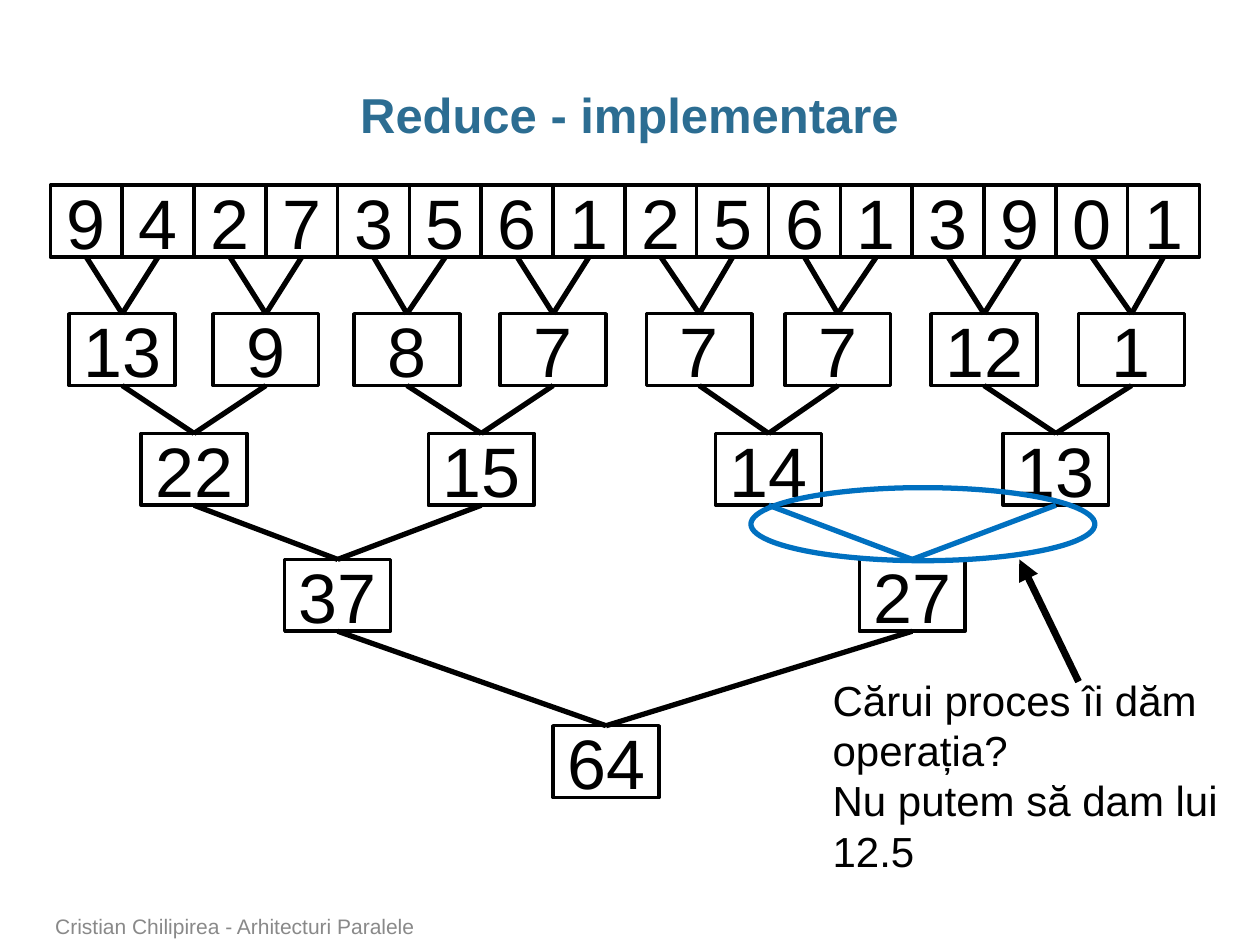
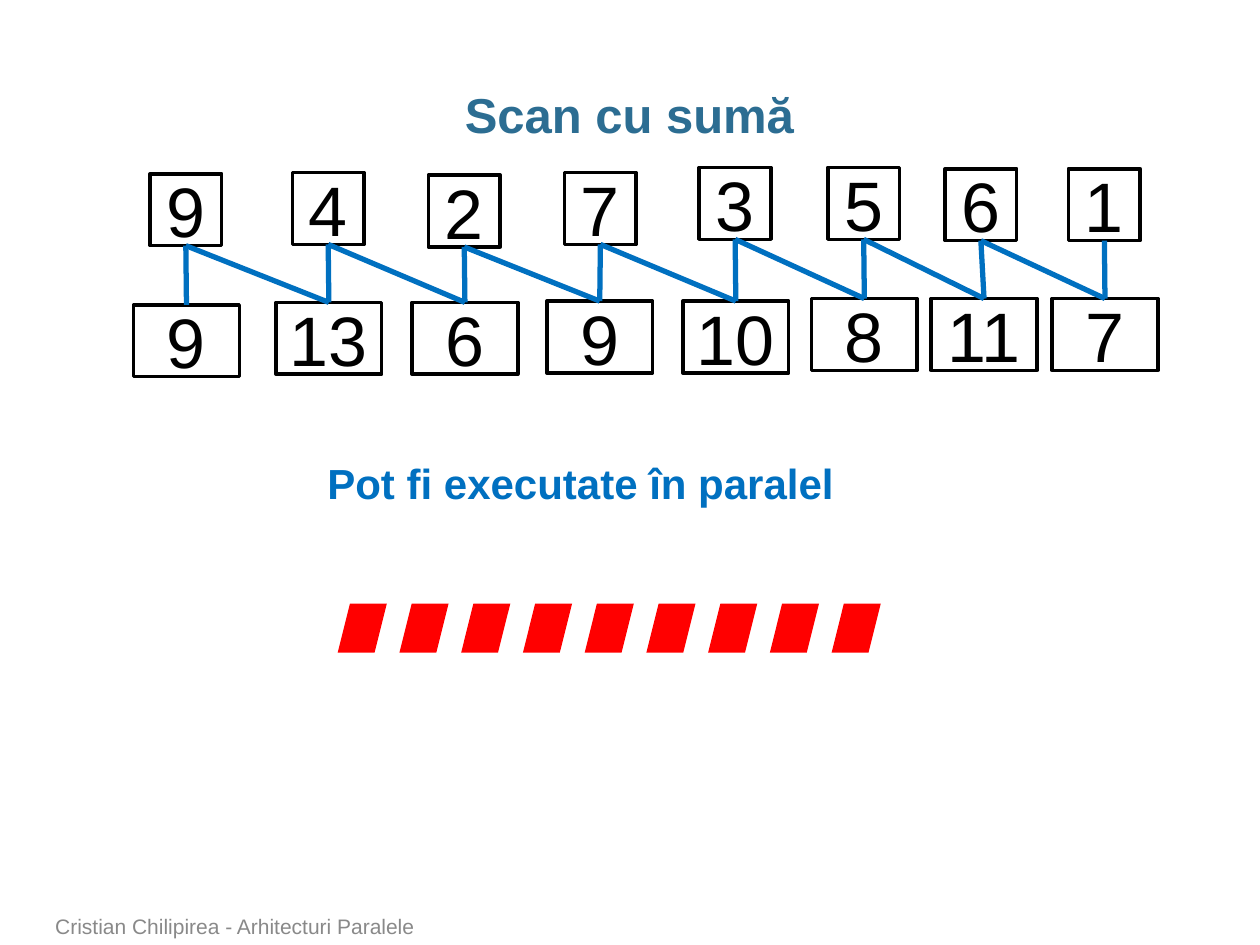
from pptx import Presentation
from pptx.dml.color import RGBColor
from pptx.enum.shapes import MSO_CONNECTOR, MSO_SHAPE
from pptx.enum.text import MSO_ANCHOR, MSO_AUTO_SIZE, PP_ALIGN
from pptx.oxml.ns import qn
from pptx.util import Inches, Pt
from lxml import etree

RECT, OVAL, SLANT = MSO_SHAPE.RECTANGLE, MSO_SHAPE.OVAL, MSO_SHAPE.PARALLELOGRAM
STRAIGHT = MSO_CONNECTOR.STRAIGHT
CENTER, LEFT = PP_ALIGN.CENTER, PP_ALIGN.LEFT
MIDDLE, BOTTOM, TOP = MSO_ANCHOR.MIDDLE, MSO_ANCHOR.BOTTOM, MSO_ANCHOR.TOP
GROW, FIXED = MSO_AUTO_SIZE.SHAPE_TO_FIT_TEXT, MSO_AUTO_SIZE.NONE
TOP_SIDE, BOTTOM_SIDE = 0, 2

# Shared look
BLACK, BLUE, RED = "000000", "0070C0", "FF0000"
TITLE_FONT = {"size": Pt(28), "bold": True, "name": "Arial"}
NUMBER_FONT = {"size": Pt(40), "name": "Arial"}
NOTE_FONT = {"size": Pt(24), "name": "Arial"}
FOOTER_FONT = {"size": Pt(12), "name": "Arial"}
TITLE_COLOR, FOOTER_COLOR = "2C6D92", "898989"
FOOTER = "Cristian Chilipirea - Arhitecturi Paralele"
CELL, WIDE = 0.57, 0.84  # cell side, and width of a sum box

# Reduce: one entry per tree level, as (top, box width, lefts, values)
REDUCE_TITLE = "Reduce - implementare"
REDUCE_LEVELS = [
    (1.47, CELL, [0.4 + 0.57 * i for i in range(16)],
     [9, 4, 2, 7, 3, 5, 6, 1, 2, 5, 6, 1, 3, 9, 0, 1]),
    (2.49, WIDE, [0.55, 1.69, 2.81, 3.97, 5.13, 6.23, 7.39, 8.56],
     [13, 9, 8, 7, 7, 7, 12, 1]),
    (3.44, WIDE, [1.12 + 2.28 * i for i in range(4)], [22, 15, 14, 13]),
    (4.44, WIDE, [2.26, 6.82], [37, 27]),
    (5.76, WIDE, [4.39], [64]),
]
HIGHLIGHTED_SUM = (3, 1)  # level and position of the sum in question
QUESTION = ["Cărui proces îi dăm operația?", "Nu putem să dam lui 12.5"]

# Scan: (value, left, top) for each row
SCAN_TITLE = "Scan cu sumă"
SCAN_INPUTS = [(9, 1.19, 1.38), (4, 2.32, 1.37), (2, 3.4, 1.39), (7, 4.48, 1.37),
               (3, 5.55, 1.33), (5, 6.57, 1.33), (6, 7.5, 1.34), (1, 8.48, 1.34)]
SCAN_SUMS = [(9, 1.06, 2.42), (13, 2.19, 2.4), (6, 3.27, 2.4), (9, 4.34, 2.39),
             (10, 5.42, 2.39), (8, 6.44, 2.37), (11, 7.39, 2.37), (7, 8.35, 2.37)]
PARALLEL_NOTE = "Pot fi executate în paralel"
MARK_COUNT = 9


def rgb(color):
    return RGBColor.from_string(color)


def write(frame, lines, font, color, align=LEFT, anchor=TOP):
    frame.vertical_anchor = anchor
    for i, line in enumerate(lines):
        paragraph = frame.add_paragraph() if i else frame.paragraphs[0]
        paragraph.text = line
        paragraph.alignment = align
        for key, value in font.items():
            setattr(paragraph.font, key, value)
        paragraph.font.color.rgb = rgb(color)


def add_text(slide, at, lines, font, color, anchor=TOP, wrap=True, fit=FIXED):
    frame = slide.shapes.add_textbox(*map(Inches, at)).text_frame
    frame.word_wrap = wrap
    frame.auto_size = fit
    write(frame, lines, font, color, anchor=anchor)


def add_figure(slide, kind, at, fill=None, line=None, width=2):
    figure = slide.shapes.add_shape(kind, *map(Inches, at))
    figure.shadow.inherit = False
    for paint, color in ((figure.fill, fill), (figure.line.fill, line)):
        if color:
            paint.solid()
            paint.fore_color.rgb = rgb(color)
        else:
            paint.background()
    if line:
        figure.line.width = Pt(width)
    return figure


def add_number(slide, value, left, top, width):
    box = add_figure(slide, RECT, (left, top, width, CELL), line=BLACK)
    write(box.text_frame, [str(value)], NUMBER_FONT, BLACK, CENTER, MIDDLE)
    return box


def add_line(slide, ends, color, width):
    line = slide.shapes.add_connector(STRAIGHT, *map(Inches, ends))
    line.line.color.rgb = rgb(color)
    line.line.width = Pt(width)
    etree.SubElement(line._element.spPr, qn("a:effectLst"))
    return line


def join(slide, term, total, color):
    line = add_line(slide, (0, 0, 0, 0), color, 3)
    line.begin_connect(term, BOTTOM_SIDE)
    line.end_connect(total, TOP_SIDE)


def add_slide(deck, heading):
    slide = deck.slides.add_slide(deck.slide_layouts[5])
    title = slide.shapes.title
    place = {"left": 0.34, "top": 0.68, "width": 9.31, "height": 0.5}
    for key, value in place.items():
        setattr(title, key, Inches(value))
    frame = title.text_frame
    frame.margin_left = frame.margin_right = 0
    frame.auto_size = FIXED
    write(frame, [heading], TITLE_FONT, TITLE_COLOR, CENTER, MIDDLE)
    frame.paragraphs[0].line_spacing = 0.95
    add_text(slide, (0.34, 7.22, 7.37, 0.28), [FOOTER], FOOTER_FONT,
             FOOTER_COLOR, anchor=BOTTOM)
    return slide


def build_reduce(deck):
    slide = add_slide(deck, REDUCE_TITLE)
    # Tree: every sum joins two neighbours of the level above
    terms = []
    for level, (top, width, lefts, values) in enumerate(REDUCE_LEVELS):
        sums = [add_number(slide, value, left, top, width)
                for value, left in zip(values, lefts)]
        for i, term in enumerate(terms):
            color = BLUE if (level, i // 2) == HIGHLIGHTED_SUM else BLACK
            join(slide, term, sums[i // 2], color)
        terms = sums
    # Question about the highlighted sum
    add_figure(slide, OVAL, (5.96, 3.87, 2.73, 0.58), line=BLUE, width=3)
    pointer = add_line(slide, (8.56, 5.41, 8.09, 4.44), BLACK, 4)
    etree.SubElement(pointer.line._get_or_add_ln(), qn("a:tailEnd"), type="triangle")
    add_text(slide, (6.51, 5.3, 3.4, 1.72), QUESTION, NOTE_FONT, BLACK, fit=GROW)


def build_scan(deck):
    slide = add_slide(deck, SCAN_TITLE)
    inputs = [add_number(slide, *entry, CELL) for entry in SCAN_INPUTS]
    sums = [add_number(slide, *entry, WIDE) for entry in SCAN_SUMS]
    # Each sum takes its own input and the one before it
    for i, total in enumerate(sums):
        for term in inputs[max(i - 1, 0):i + 1]:
            join(slide, term, total, BLUE)
    add_text(slide, (2.5, 3.58, 4.26, 0.5), [PARALLEL_NOTE],
             {**NOTE_FONT, "bold": True}, BLUE, wrap=False, fit=GROW)
    # Row of red marks
    for i in range(MARK_COUNT):
        add_figure(slide, SLANT, (2.68 + 0.49 * i, 4.79, 0.39, 0.39), fill=RED)


def main():
    deck = Presentation()
    deck.slide_width, deck.slide_height = Inches(10), Inches(7.5)
    build_reduce(deck)
    build_scan(deck)
    deck.save("out.pptx")


if __name__ == "__main__":
    main()
